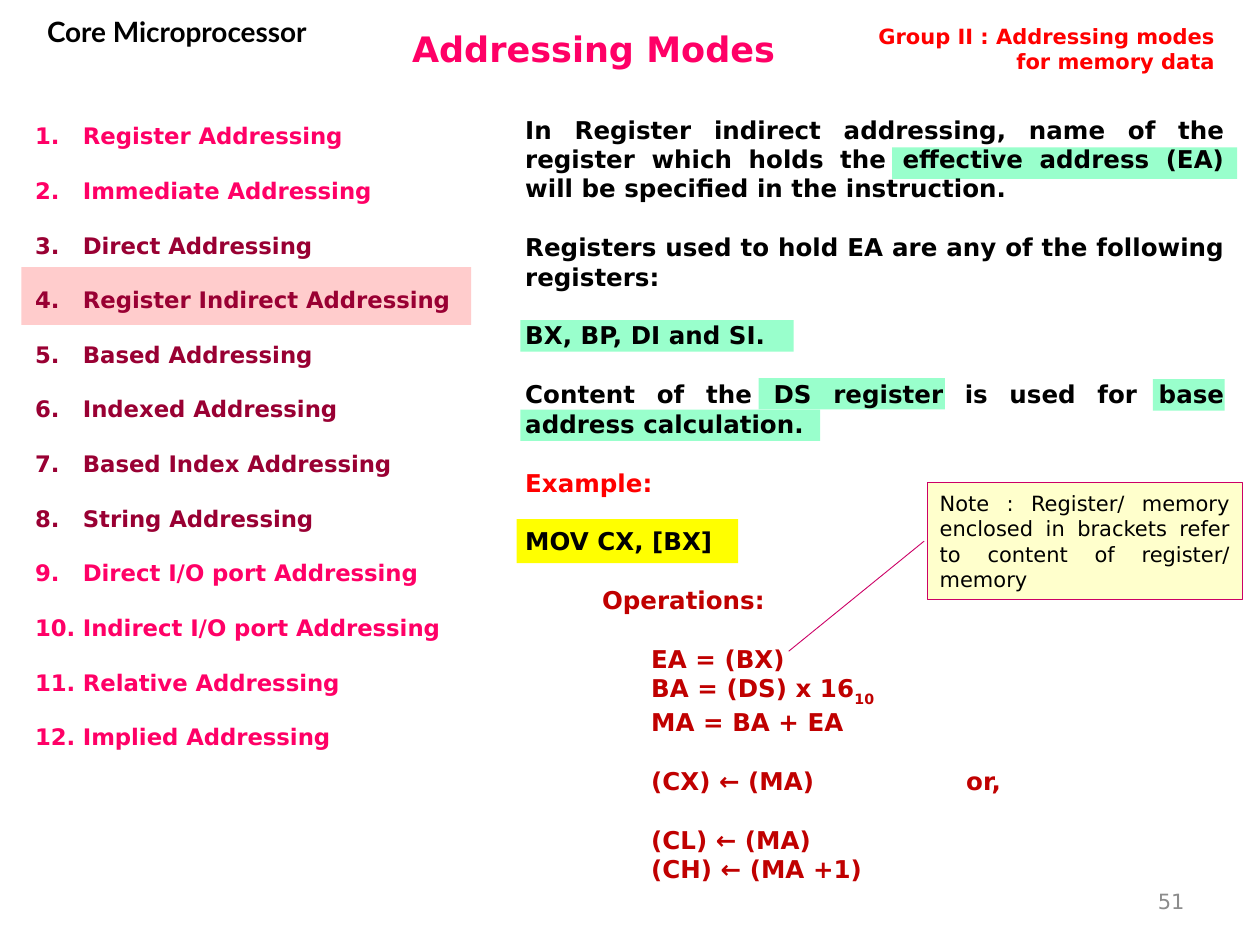
from lxml import etree
from pptx import Presentation
from pptx import util as u
from pptx.dml import color
from pptx.enum import shapes, text
from pptx.oxml import ns

COLORS = {"pink": "FF0066", "maroon": "990033", "red": "FF0000", "crimson": "C00000",
          "black": "000000", "grey": "8C8C8C", "mint": "99FFCC", "yellow": "FFFF00",
          "rose": "FFCCCC", "cream": "FFFFCC", "magenta": "CC0066"}
ALIGN = text.PP_ALIGN
ANCHOR = text.MSO_ANCHOR


def add_run(paragraph, words, size, hue, bold=True, face="DejaVu Sans"):
    run = paragraph.add_run()
    run.text = words
    run.font.size = u.Pt(size)
    run.font.name = face
    run.font.bold = bold
    run.font.color.rgb = color.RGBColor.from_string(COLORS[hue])
    return run


def add_box(left, top, width, height, anchor=ANCHOR.TOP):
    box = slide.shapes.add_textbox(u.Inches(left), u.Inches(top), u.Inches(width), u.Inches(height))
    box.text_frame.word_wrap = True
    box.text_frame.vertical_anchor = anchor
    return box.text_frame


deck = Presentation()
deck.slide_width, deck.slide_height = u.Inches(10), u.Inches(7.5)
slide = deck.slides.add_slide(deck.slide_layouts[5])

highlights = [
    (6.02, 3, 1.48, 0.25, "mint"),
    (9.15, 3.01, 0.57, 0.25, "mint"),
    (4.13, 3.25, 2.38, 0.25, "mint"),
    (4.13, 2.54, 2.17, 0.25, "mint"),
    (7.08, 1.17, 2.74, 0.25, "mint"),
    (4.1, 4.12, 1.76, 0.35, "yellow"),
    (0.17, 2.12, 3.57, 0.46, "rose"),
]
for *place, hue in highlights:
    highlight = slide.shapes.add_shape(shapes.MSO_SHAPE.RECTANGLE, *map(u.Inches, place))
    highlight.shadow.inherit = False
    highlight.fill.solid()
    highlight.fill.fore_color.rgb = color.RGBColor.from_string(COLORS[hue])
    highlight.line.fill.background()

title = slide.shapes.title
title.left, title.top = u.Inches(3.17), u.Inches(0.12)
title.width, title.height = u.Inches(6.58), u.Inches(0.53)
title.text_frame.vertical_anchor = ANCHOR.MIDDLE
heading = title.text_frame.paragraphs[0]
heading.alignment = ALIGN.LEFT
add_run(heading, "Addressing Modes", 20, "pink")

page_number = add_box(7.17, 6.95, 2.33, 0.4, ANCHOR.MIDDLE).paragraphs[0]
page_number.alignment = ALIGN.RIGHT
add_run(page_number, "51", 12, "grey", bold=False)

course = add_box(0.07, 0.07, 2.67, 0.64).paragraphs[0]
course.alignment = ALIGN.CENTER
add_run(course, "Core Microprocessor", 16, "black", face="Lato")

group = add_box(6.71, 0.14, 3.03, 0.5).paragraphs[0]
group.alignment = ALIGN.RIGHT
add_run(group, "Group II : Addressing modes for memory data", 12, "red")

modes = ["Register", "Immediate", "Direct", "Register Indirect", "Based", "Indexed",
         "Based Index", "String", "Direct I/O port", "Indirect I/O port", "Relative", "Implied"]
mode_list = add_box(0.18, 0.92, 3.56, 5.13)
for number, mode in enumerate(modes, 1):
    item = mode_list.paragraphs[0] if number == 1 else mode_list.add_paragraph()
    props = item._p.get_or_add_pPr()
    props.set("marL", str(u.Inches(0.38)))
    props.set("indent", str(-u.Inches(0.38)))
    etree.SubElement(props, ns.qn("a:buFont"), typeface="+mj-lt")
    etree.SubElement(props, ns.qn("a:buAutoNum"), type="arabicPeriod")
    if number > 1:
        item.space_before = u.Pt(15.6)
    add_run(item, f"{mode} Addressing", 13, "maroon" if 3 <= number <= 8 else "pink")

GAP = 16.8
explanation = [
    (0, 0, "black", "In Register indirect addressing, name of the register which holds the "
                    "effective address (EA) will be specified in the instruction."),
    (0, GAP, "black", "Registers used to hold EA are any of the following registers:"),
    (0, GAP, "black", "BX, BP, DI and SI."),
    (0, GAP, "black", "Content of the DS register is used for base address calculation."),
    (0, GAP, "red", "Example:"),
    (0, GAP, "black", "MOV CX, [BX]"),
    (0.61, GAP, "crimson", "Operations:"),
    (1, GAP, "crimson", "EA = (BX)"),
    (1, 0, "crimson", "BA = (DS) x 16"),
    (1, 0, "crimson", "MA = BA + EA"),
    (1, GAP, "crimson", "(CX) ← (MA)\tor,"),
    (1, GAP, "crimson", "(CL) ← (MA)"),
    (1, 0, "crimson", "(CH) ← (MA +1)"),
]
body = add_box(4.07, 0.86, 5.75, 6.42)
for index, (indent, gap, hue, words) in enumerate(explanation):
    line = body.add_paragraph() if index else body.paragraphs[0]
    line.alignment = ALIGN.JUSTIFY
    props = line._p.get_or_add_pPr()
    props.set("marL", str(u.Inches(indent)))
    if "\t" in words:
        stops = etree.SubElement(props, ns.qn("a:tabLst"))
        etree.SubElement(stops, ns.qn("a:tab"), pos=str(u.Inches(2.5)), algn="l")
    if gap:
        line.space_before = u.Pt(gap)
    add_run(line, words, 14, hue)
    if words.endswith("x 16"):
        number_base = add_run(line, "10", 14, hue)
        number_base.font._element.set("baseline", "-25000")

note = slide.shapes.add_shape(shapes.MSO_SHAPE.LINE_CALLOUT_1, u.Inches(7.36), u.Inches(3.83),
                              u.Inches(2.5), u.Inches(0.93))
for index, value in enumerate([0.5, -0.01, 1.44, -0.44]):
    note.adjustments[index] = value
note.shadow.inherit = False
note.fill.solid()
note.fill.fore_color.rgb = color.RGBColor.from_string(COLORS["cream"])
note.line.color.rgb = color.RGBColor.from_string(COLORS["magenta"])
note.line.width = u.Pt(0.5)
note.text_frame.word_wrap = True
note.text_frame.vertical_anchor = ANCHOR.MIDDLE
remark = note.text_frame.paragraphs[0]
remark.alignment = ALIGN.JUSTIFY
add_run(remark, "Note : Register/ memory enclosed in brackets refer to content of register/ memory",
        12, "black", bold=False)

deck.save("out.pptx")
